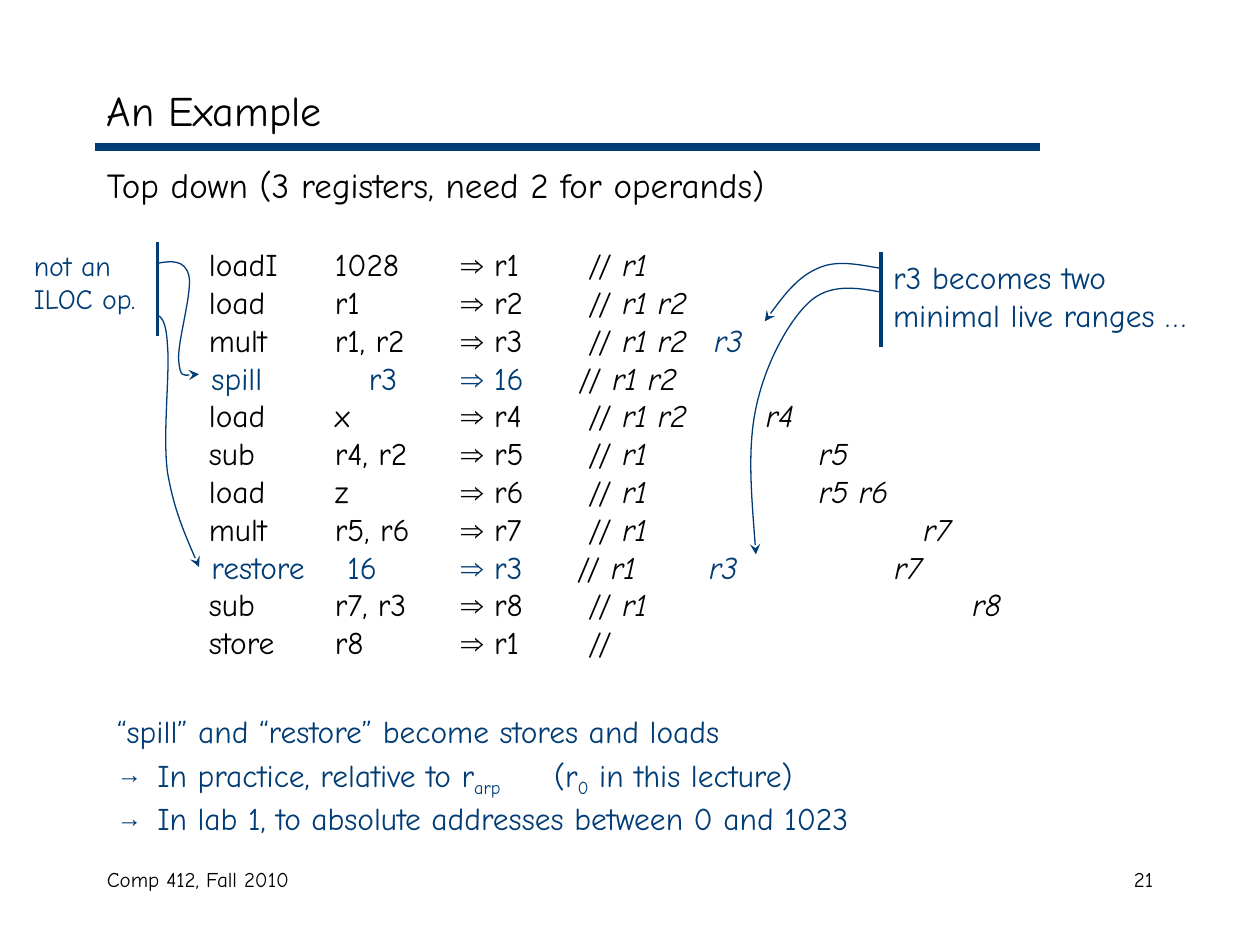
"""Builds the register allocation example slide."""
from lxml.etree import SubElement
from pptx import Presentation
from pptx.dml.color import RGBColor
from pptx.enum.text import MSO_ANCHOR, PP_ALIGN
from pptx.oxml.ns import qn
from pptx.util import Inches, Pt

COLORS = {"ink": "000000", "blue": "003C75"}
FONT = "Comic Neue"
BODY_LEFT, INSET = 0.75, 0.1
COLUMNS = (1.66, 2.66, 3.66, 4.67)
SPILL_COLUMNS = (1.68, 2.93, 3.66, 4.59)
RESTORE_COLUMNS = (1.68, 2.76, 3.66, 4.58)

# fmt: off
CODE = [
    ("loadI", "1028", "r1", "r1", [], "ink", COLUMNS),
    ("load", "r1", "r2", "r1 r2", [], "ink", COLUMNS),
    ("mult", "r1, r2", "r3", "r1 r2", [("r3", 5.67, "blue")], "ink", COLUMNS),
    ("spill", "r3", "16", "r1 r2", [], "blue", SPILL_COLUMNS),
    ("load", "x", "r4", "r1 r2", [("r4", 6.08, "ink")], "ink", COLUMNS),
    ("sub", "r4, r2", "r5", "r1", [("r5", 6.5, "ink")], "ink", COLUMNS),
    ("load", "z", "r6", "r1", [("r5 r6", 6.5, "ink")], "ink", COLUMNS),
    ("mult", "r5, r6", "r7", "r1", [("r7", 7.33, "ink")], "ink", COLUMNS),
    ("restore", "16", "r3", "r1", [("r3", 5.63, "blue"), ("r7", 7.1, "ink")], "blue", RESTORE_COLUMNS),
    ("sub", "r7, r3", "r8", "r1", [("r8", 7.72, "ink")], "ink", COLUMNS),
    ("store", "r8", "r1", "", [], "ink", COLUMNS),
]
# fmt: on

ARROWS = [
    [(6.99, 2.13), (6.81, 2.1), (6.64, 2.06), (6.49, 2.13),
     (6.33, 2.2), (6.2, 2.37), (6.07, 2.55)],
    [(7, 2.32), (6.79, 2.28), (6.58, 2.25), (6.42, 2.4),
     (6.25, 2.56), (6.07, 2.9), (6, 3.24),
     (5.93, 3.57), (5.97, 3.99), (6, 4.4)],
    [(1.25, 2.09), (1.36, 2.07), (1.47, 2.06), (1.5, 2.19),
     (1.53, 2.32), (1.4, 2.74), (1.42, 2.87),
     (1.43, 3), (1.51, 2.98), (1.58, 2.97)],
    [(1.25, 2.5), (1.28, 2.52), (1.32, 2.54), (1.33, 2.75),
     (1.35, 2.96), (1.29, 3.46), (1.33, 3.75),
     (1.38, 4.04), (1.48, 4.27), (1.58, 4.5)],
]


def rgb(name):
    """Return a palette colour."""
    return RGBColor.from_string(COLORS[name])


def add_box(s, x, y, w, h, anchor=MSO_ANCHOR.TOP):
    """Add a wrapping text box and return its text frame."""
    tf = s.shapes.add_textbox(Inches(x), Inches(y), Inches(w), Inches(h)).text_frame
    tf.word_wrap = True
    tf.vertical_anchor = anchor
    return tf


def add_run(p, text, size, color="ink", font=FONT, italic=False, base=None):
    """Add one formatted run."""
    r = p.add_run()
    r.text = text
    r.font.size = Pt(size)
    r.font.name = font
    r.font.italic = italic
    r.font.color.rgb = rgb(color)
    if base:
        r.font._element.set("baseline", str(base))


def add_label(s, x, y, w, h, text, size, color="ink", before=0,
              align=PP_ALIGN.LEFT, anchor=MSO_ANCHOR.TOP):
    """Add a text box with one paragraph and return its text frame."""
    tf = add_box(s, x, y, w, h, anchor)
    p = tf.paragraphs[0]
    p.alignment = align
    p.space_before = Pt(before)
    add_run(p, text, size, color)
    return tf


def set_tabs(p, stops):
    """Set left tab stops in inches."""
    tabs = SubElement(p._p.get_or_add_pPr(), qn("a:tabLst"))
    for stop in stops:
        SubElement(tabs, qn("a:tab"), pos=str(Inches(stop)), algn="l")


def add_code_row(tf, row, before):
    """Add one instruction with its live registers."""
    op, operands, result, live, later, color, columns = row
    p = tf.add_paragraph()
    p.space_before = Pt(before)
    stops = columns + tuple(x for _, x, _ in later)
    set_tabs(p, [round(x - BODY_LEFT - INSET, 2) for x in stops])
    add_run(p, f"\t{op}\t{operands}\t", 18, color)
    add_run(p, "⇒", 18, color, "Arial")
    add_run(p, f" {result}\t", 18, color)
    add_run(p, "// " if live else "//", 18)
    if live:
        add_run(p, live, 18, italic=True)
    for text, _, shade in later:
        add_run(p, f"\t{text}", 18, shade, italic=True)


def add_bullet(tf, parts, stops=()):
    """Add an arrow bullet made of (text, baseline) parts."""
    p = tf.add_paragraph()
    p.line_spacing = 0.95
    p.space_before = Pt(3)
    pPr = p._p.get_or_add_pPr()
    pPr.set("marL", str(Inches(0.32)))
    pPr.set("indent", str(-Inches(0.32)))
    SubElement(SubElement(pPr, qn("a:buClr")), qn("a:srgbClr"), val=COLORS["blue"])
    SubElement(pPr, qn("a:buSzPct"), val="80000")
    SubElement(pPr, qn("a:buFont"), typeface="Arial")
    SubElement(pPr, qn("a:buChar"), char="→")
    if stops:
        set_tabs(p, stops)
    for text, base in parts:
        add_run(p, text, 18, "blue", base=base)


def add_line(s, x1, y1, x2, y2, width):
    """Add a straight blue line."""
    sp = s.shapes.add_connector(1, Inches(x1), Inches(y1), Inches(x2), Inches(y2))
    sp.line.color.rgb = rgb("blue")
    sp.line.width = Pt(width)
    SubElement(sp._element.spPr, qn("a:effectLst"))


def add_curve(s, points):
    """Add a curved arrow through Bezier points."""
    start, *rest = [(Inches(x), Inches(y)) for x, y in points]
    builder = s.shapes.build_freeform(*start)
    builder.add_line_segments(rest, close=False)
    sp = builder.convert_to_shape()
    sp.shadow.inherit = False
    sp.fill.background()
    sp.line.color.rgb = rgb("blue")
    sp.line.width = Pt(0.75)
    SubElement(sp.line._get_or_add_ln(), qn("a:tailEnd"), type="stealth")
    segments = sp._element.xpath(".//a:lnTo")
    outline = segments[0].getparent()
    for i in range(0, len(segments), 3):
        curve = SubElement(outline, qn("a:cubicBezTo"))
        for segment in segments[i:i + 3]:
            curve.append(segment[0])
            outline.remove(segment)


def main():
    """Build and save the slide."""
    prs = Presentation()
    prs.slide_width, prs.slide_height = Inches(10), Inches(7.5)
    s = prs.slides.add_slide(prs.slide_layouts[6])
    add_line(s, 0.75, 1.17, 8.25, 1.17, 4.5)
    add_label(s, 0.75, 6.83, 3.17, 0.5, "Comp 412, Fall 2010", 12)
    add_label(s, 7.17, 6.83, 2.08, 0.5, "21", 12, align=PP_ALIGN.RIGHT)
    add_label(s, 0.75, 0.58, 8.5, 0.58, "An Example", 24, anchor=MSO_ANCHOR.MIDDLE)
    tf = add_label(s, BODY_LEFT, 1.25, 8.5, 5.42,
                   "Top down (3 registers, need 2 for operands)", 20, before=5)
    for i, row in enumerate(CODE):
        add_code_row(tf, row, 0 if i else 22.5)
    add_label(s, 6.99, 2, 2.67, 0.7, "r3 becomes two minimal live ranges …", 18, "blue", 11.2)
    add_label(s, 0.17, 1.92, 1.17, 0.64, "not an ILOC op.", 16, "blue", 10)
    add_line(s, 6.99, 2, 6.99, 2.75, 2.25)
    add_line(s, 1.25, 1.92, 1.25, 2.67, 2.25)
    for points in ARROWS:
        add_curve(s, points)
    tf = add_label(s, 0.83, 5.62, 8.42, 1.08,
                   "“spill” and “restore” become stores and loads", 18, "blue")
    tf.paragraphs[0].line_spacing = 0.95
    add_bullet(tf, [("In practice, relative to r", None), ("arp", -25000), ("\t(r", None),
                    ("0", -25000), (" in this lecture)", None)], [3.47])
    add_bullet(tf, [("In lab 1, to absolute addresses between 0 and 1023", None)])
    prs.save("out.pptx")


if __name__ == "__main__":
    main()
